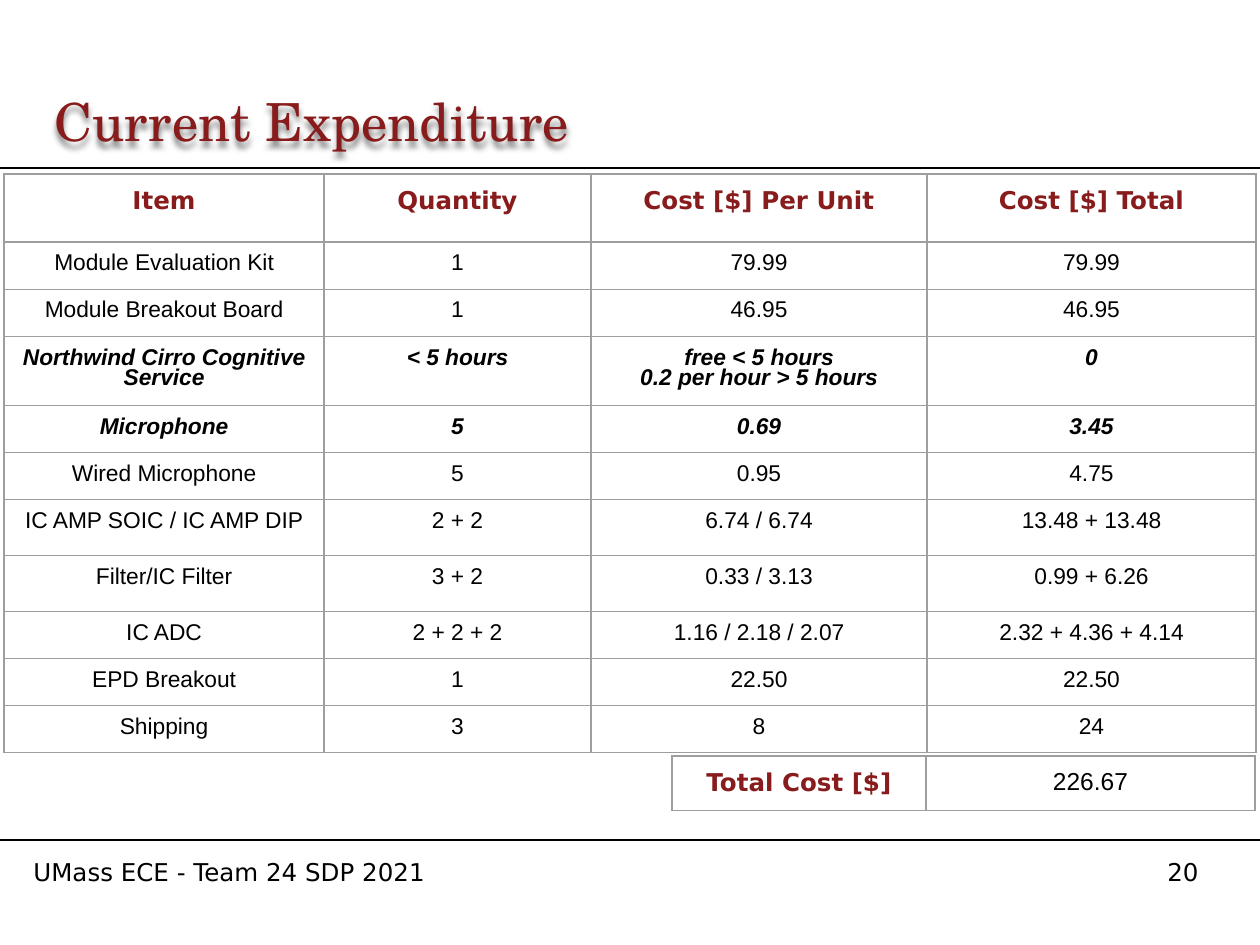
from lxml.etree import SubElement
from pptx import Presentation
from pptx.dml.color import RGBColor
from pptx.enum.shapes import MSO_CONNECTOR
from pptx.enum.text import MSO_ANCHOR, PP_ALIGN
from pptx.oxml import parse_xml
from pptx.oxml.ns import nsdecls, qn
from pptx.util import Inches, Pt

MAROON = RGBColor(0x88, 0x1C, 0x1C)
BLACK = RGBColor(0x00, 0x00, 0x00)
GREY = RGBColor(0x9E, 0x9E, 0x9E)

TITLE = "Current Expenditure"
FOOTER = "UMass ECE - Team 24 SDP 2021"
PAGE_NUMBER = "20"
EXPENSES = [
    ("Item", "Quantity", "Cost [$] Per Unit", "Cost [$] Total"),
    ("Module Evaluation Kit", "1", "79.99", "79.99"),
    ("Module Breakout Board", "1", "46.95", "46.95"),
    ("Northwind Cirro Cognitive Service", "< 5 hours",
     "free < 5 hours\n0.2 per hour > 5 hours", "0"),
    ("Microphone", "5", "0.69", "3.45"),
    ("Wired Microphone", "5", "0.95", "4.75"),
    ("IC AMP SOIC / IC AMP DIP", "2 + 2", "6.74 / 6.74", "13.48 + 13.48"),
    ("Filter/IC Filter", "3 + 2", "0.33 / 3.13", "0.99 + 6.26"),
    ("IC ADC", "2 + 2 + 2", "1.16 / 2.18 / 2.07", "2.32 + 4.36 + 4.14"),
    ("EPD Breakout", "1", "22.50", "22.50"),
    ("Shipping", "3", "8", "24"),
]
EMPHASISED_ROWS = (3, 4)
EXPENSE_COLUMNS = (320, 267, 336, 329)
EXPENSE_ROWS = (68, 45, 46, 66, 46, 45, 56, 56, 46, 45, 46)
TOTAL = [("Total Cost [$]", "226.67")]
TOTAL_COLUMNS = (254, 329)
TOTAL_ROWS = (54,)
RULES = (168, 840)

TITLE_FONT = {"name": "TeX Gyre Schola", "size": Pt(30), "bold": False}
HEADING_FONT = {"name": "DejaVu Sans", "size": Pt(14), "bold": True}
FOOTER_FONT = {"name": "DejaVu Sans", "size": Pt(14)}
BODY_FONT = {"name": "Arial", "size": Pt(13), "bold": False}
EMPHASIS_FONT = {"name": "Arial", "size": Pt(13), "bold": True, "italic": True}
SUM_FONT = {"name": "Arial", "size": Pt(14), "bold": False}
SHADOW = (
    f'<a:effectLst {nsdecls("a")}><a:outerShdw blurRad="38100" dist="38100" '
    'dir="5400000" algn="t" rotWithShape="0"><a:srgbClr val="000000">'
    '<a:alpha val="50000"/></a:srgbClr></a:outerShdw></a:effectLst>'
)


def px(length):
    return round(length * Inches(1) / 126)


def write(frame, text, font, color, align=PP_ALIGN.LEFT, spacing=None):
    frame.text = text
    for para in frame.paragraphs:
        para.alignment = align
        para.line_spacing = spacing
        for span in para.runs:
            for name, value in font.items():
                setattr(span.font, name, value)
            span.font.color.rgb = color


def add_label(page, text, left, top, width, height):
    box = page.shapes.add_textbox(px(left), px(top), px(width), px(height))
    box.text_frame.word_wrap = True
    write(box.text_frame, text, FOOTER_FONT, BLACK)


def add_rule(page, y):
    rule = page.shapes.add_connector(MSO_CONNECTOR.STRAIGHT, 0, px(y), px(1260), px(y))
    rule.line.color.rgb = BLACK
    rule.line.width = Pt(1)
    SubElement(rule._element.spPr, qn("a:effectLst"))


def format_cell(cell):
    for side in ("left", "right", "top", "bottom"):
        setattr(cell, f"margin_{side}", Inches(0.1))
    properties = cell._tc.get_or_add_tcPr()
    for edge in ("a:lnL", "a:lnR", "a:lnT", "a:lnB"):
        line = SubElement(properties, qn(edge), w=str(Pt(0.75)))
        fill = SubElement(line, qn("a:solidFill"))
        SubElement(fill, qn("a:srgbClr"), val=str(GREY))
    cell.fill.background()


def add_grid(page, rows, left, top, widths, heights, style):
    table = page.shapes.add_table(
        len(rows), len(widths), px(left), px(top), px(sum(widths)), px(sum(heights))
    ).table
    table.first_row = table.horz_banding = False
    for column, width in zip(table.columns, widths):
        column.width = px(width)
    for r, (row, height) in enumerate(zip(rows, heights)):
        table.rows[r].height = px(height)
        for c, text in enumerate(row):
            cell = table.cell(r, c)
            format_cell(cell)
            font, color, spacing = style(r, c)
            write(cell.text_frame, text, font, color, PP_ALIGN.CENTER, spacing)


def expense_style(r, c):
    if r == 0:
        return HEADING_FONT, MAROON, None
    return (EMPHASIS_FONT if r in EMPHASISED_ROWS else BODY_FONT), BLACK, 0.8


def total_style(r, c):
    return (SUM_FONT, BLACK, None) if c else (HEADING_FONT, MAROON, None)


def add_title(page):
    title = page.shapes.title
    title.left, title.top, title.width, title.height = px(42), px(84), px(1218), px(73)
    frame = title.text_frame
    frame.word_wrap = True
    frame.vertical_anchor = MSO_ANCHOR.MIDDLE
    for side in ("left", "right", "top", "bottom"):
        setattr(frame, f"margin_{side}", Inches(0.1))
    write(frame, TITLE, TITLE_FONT, MAROON)
    title._element.spPr.append(parse_xml(SHADOW))


def main():
    deck = Presentation()
    deck.slide_width, deck.slide_height = px(1260), px(945)
    page = deck.slides.add_slide(deck.slide_layouts[5])
    for y in RULES:
        add_rule(page, y)
    add_label(page, PAGE_NUMBER, 1155, 851, 84, 43)
    add_label(page, FOOTER, 21, 851, 557, 42)
    add_title(page)
    add_grid(page, EXPENSES, 4, 174, EXPENSE_COLUMNS, EXPENSE_ROWS, expense_style)
    add_grid(page, TOTAL, 672, 756, TOTAL_COLUMNS, TOTAL_ROWS, total_style)
    deck.save("out.pptx")


if __name__ == "__main__":
    main()
